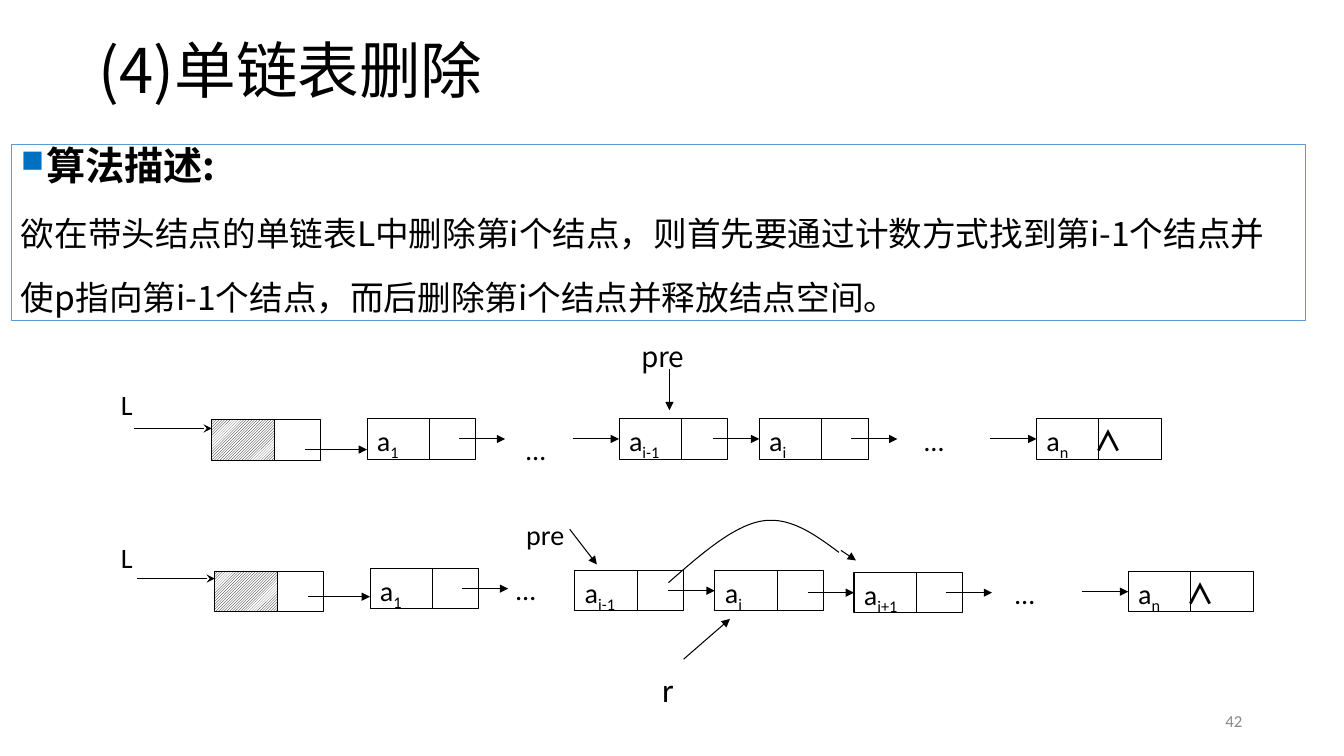
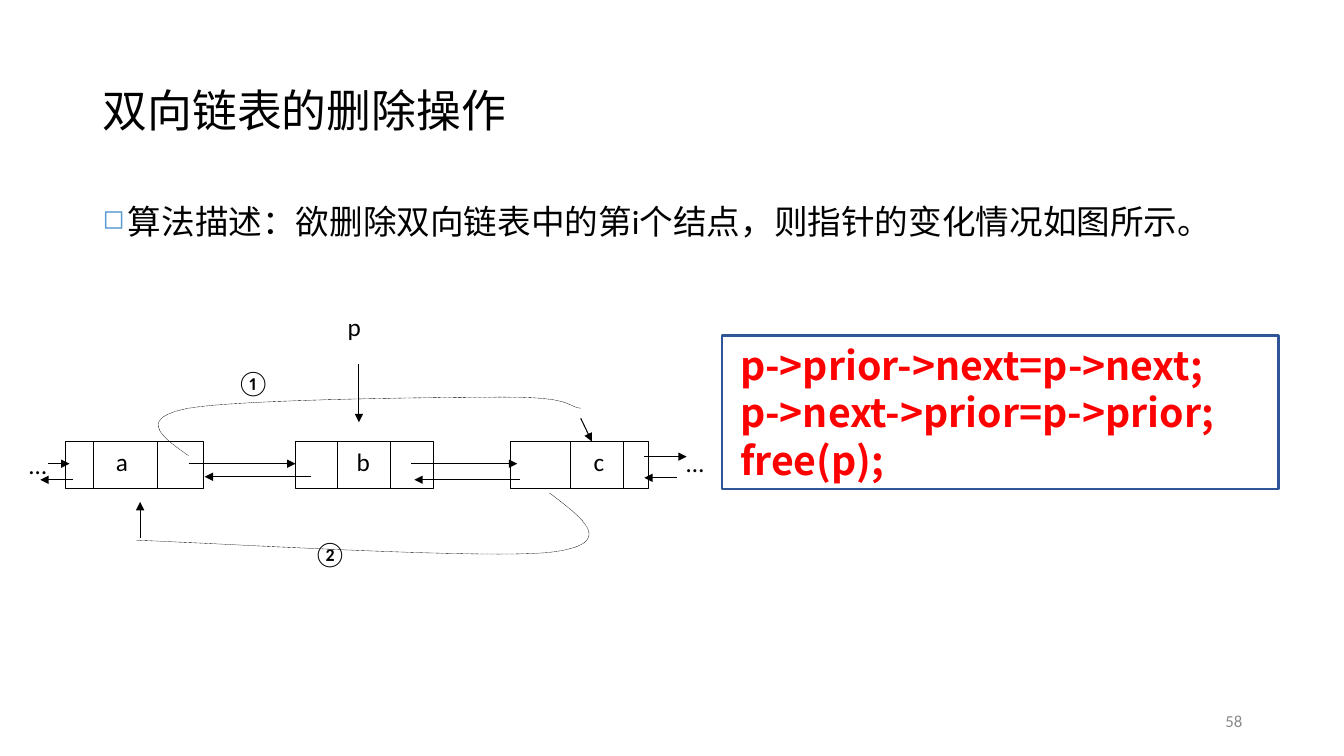
from lxml.etree import SubElement
from pptx import Presentation
from pptx.dml.color import RGBColor
from pptx.enum.dml import MSO_LINE, MSO_PATTERN
from pptx.enum.shapes import MSO_CONNECTOR, MSO_SHAPE
from pptx.enum.text import MSO_ANCHOR, PP_ALIGN
from pptx.oxml.ns import qn
from pptx.util import Inches, Pt

BLACK = RGBColor(0x00, 0x00, 0x00)
WHITE = RGBColor(0xFF, 0xFF, 0xFF)
GRAY = RGBColor(0x89, 0x89, 0x89)
RED = RGBColor(0xFF, 0x00, 0x00)
NAVY = RGBColor(0x2F, 0x55, 0x97)
SKY = RGBColor(0x5B, 0x9B, 0xD5)
BLUE = RGBColor(0x00, 0x70, 0xC0)
LATIN, CJK = "Calibri", "Noto Sans CJK SC"

BODY = {"name": CJK, "size": Pt(24), "color": BLACK}
HEADING = {"name": CJK, "size": Pt(28), "color": BLACK, "bold": True}
CODE = {**HEADING, "color": RED}
NODE = {"name": LATIN, "size": Pt(20), "color": BLACK}
SMALL = {**NODE, "size": Pt(18)}
NUMBER = {"name": LATIN, "size": Pt(12), "color": GRAY}
SUB = {"baseline": -25000}

SINGLE_TITLE = ("(4)单链表删除", 0.88, 0, 44, "42")
SINGLE_HEADING = "算法描述:"
SINGLE_TEXT = ("欲在带头结点的单链表L中删除第i个结点，则首先要通过计数方式找到第i-1个结点"
               "并使p指向第i-1个结点，而后删除第i个结点并释放结点空间。")
DOUBLE_TITLE = ("双向链表的删除操作", 0.92, 0.4, 32, "58")
DOUBLE_TEXT = [("算法描述：欲删除双向链表中的第", {}), ("i", {"name": LATIN}),
               ("个结点，则指针的变化情况如图所示。", {})]
CODE_LINES = ["p->prior->next=p->next;", "p->next->prior=p->prior;", "free(p);"]

CELL, NODE_W, LAST_W, LINK = 0.62, 1.08, 1.24, 0.46
# subscript, left, top, incoming link, outgoing link
CHAINS = [
    {"header": (2.1, 4.16), "height": 0.41, "nodes": [
        ("1", 3.64, 4.15, False, True), ("i-1", 6.14, 4.15, True, False),
        ("i", 7.53, 4.15, True, True), ("n", 10.28, 4.15, True, False)]},
    {"header": (2.13, 5.67), "height": 0.4, "nodes": [
        ("1", 3.67, 5.64, False, True), ("i-1", 5.7, 5.66, False, False),
        ("i", 7.09, 5.66, True, False), ("i+1", 8.47, 5.68, True, True),
        ("n", 11.19, 5.67, True, False)]},
]
SINGLE_LABELS = [
    ("pre", 6.26, 3.32, {**NODE, "name": CJK}), ("L", 1.1, 3.79, NODE),
    ("…", 5.12, 4.24, NODE), ("…", 9.07, 4.15, NODE),
    ("pre", 5.12, 5.08, NODE), ("L", 1.1, 5.31, NODE),
    ("…", 5.02, 5.63, NODE), ("…", 9.97, 5.67, NODE),
    ("r", 6.47, 6.59, {**NODE, "size": Pt(24)}),
]
SINGLE_ARROWS = [
    (6.64, 3.66, 6.64, 4.07), (3.03, 4.46, 3.64, 4.46), (3.05, 5.92, 3.67, 5.92),
    (5.65, 5.25, 5.92, 5.6), (8.34, 5.46, 8.49, 5.56), (6.78, 6.54, 7.24, 6.14),
]
LIST_ARROWS = [(1.33, 4.25, 2.1, 4.25), (1.36, 5.74, 2.13, 5.74)]
BYPASS = [(6.63, 5.78), (6.95, 5.5), (7.27, 5.22), (7.55, 5.17),
          (7.83, 5.12), (8.08, 5.3), (8.32, 5.48)]

DOUBLE_TOP, DOUBLE_W, DOUBLE_H = 4.38, 1.37, 0.47
# letter, left, dividers, text indent
DOUBLE_NODES = [("a", 0.65, (0.93, 1.56), 0.4), ("b", 2.93, (3.35, 3.87), 0.51),
                ("c", 5.06, (5.66, 6.18), 0.73)]
DOUBLE_LABELS = [("p", 3.35, 3.04, SMALL), ("②", 3.01, 5.29, SMALL),
                 ("①", 2.25, 3.59, SMALL), ("…", 0.19, 4.41, SMALL),
                 ("…", 6.71, 4.39, SMALL)]
DOUBLE_ARROWS = [
    (1.87, 4.6, 2.93, 4.6), (3.08, 4.73, 2.03, 4.73), (0.48, 4.6, 0.69, 4.6),
    (0.72, 4.76, 0.4, 4.76), (6.39, 4.53, 6.81, 4.53), (6.71, 4.74, 6.39, 4.74),
    (4.08, 4.6, 5.13, 4.6), (5.16, 4.76, 4.11, 4.76), (3.56, 3.61, 3.56, 4.19),
    (5.76, 4.15, 5.87, 4.38),
]
NEXT_CURVE = [(1.87, 4.52), (1.61, 4.34), (1.35, 4.15), (1.87, 4.05), (2.4, 3.96),
              (4.38, 3.94), (5.03, 3.94), (5.67, 3.94), (5.62, 4.03), (5.76, 4.05)]
PRIOR_CURVE = [(5.45, 4.89), (5.79, 5.15), (6.13, 5.4), (5.45, 5.48),
               (4.76, 5.55), (2.01, 5.38), (1.35, 5.36)]
DOTTED = {"width": Pt(0.25), "dash_style": MSO_LINE.ROUND_DOT}


def add_runs(paragraph, runs, base, **layout):
    for name, value in layout.items():
        setattr(paragraph, name, value)
    for text, changes in runs:
        run = paragraph.add_run()
        run.text = text
        props = run._r.get_or_add_rPr()
        for name, value in {**base, **changes}.items():
            if name == "color":
                run.font.color.rgb = value
            elif name == "baseline":
                props.set(name, str(value))
            else:
                setattr(run.font, name, value)
        SubElement(props, qn("a:ea"), typeface=run.font.name)


def set_bullet(paragraph, mark, color):
    props = paragraph._p.get_or_add_pPr()
    props.set("marL", str(Inches(0.25)))
    props.set("indent", str(-Inches(0.25)))
    SubElement(SubElement(props, qn("a:buClr")), qn("a:srgbClr"), val=str(color))
    SubElement(props, qn("a:buSzPct"), val="80000")
    SubElement(props, qn("a:buChar"), char=mark)


def set_frame(shape, **changes):
    frame = shape.text_frame
    settings = {"word_wrap": True, "vertical_anchor": MSO_ANCHOR.TOP, **changes}
    for name, value in settings.items():
        setattr(frame, name, value)
    frame.paragraphs[0].alignment = PP_ALIGN.LEFT
    return frame


def add_text(slide, box, runs, base, anchor=MSO_ANCHOR.TOP, **layout):
    area = slide.shapes.add_textbox(*map(Inches, box))
    frame = set_frame(area, vertical_anchor=anchor)
    add_runs(frame.paragraphs[0], runs, base, **layout)
    return frame.paragraphs[0]


def style_line(line, color=BLACK, **changes):
    line.color.rgb = color
    for name, value in {"width": Pt(0.75), **changes}.items():
        setattr(line, name, value)


def add_box(slide, box, fill=WHITE, **line):
    rect = slide.shapes.add_shape(MSO_SHAPE.RECTANGLE, *map(Inches, box))
    rect.shadow.inherit = False
    if fill is None:
        rect.fill.background()
    else:
        rect.fill.solid()
        rect.fill.fore_color.rgb = fill
    style_line(rect.line, **line)
    return rect


def add_line(slide, ends, head=None, target=None, **line):
    link = slide.shapes.add_connector(MSO_CONNECTOR.STRAIGHT, *map(Inches, ends))
    style_line(link.line, **line)
    props = link._element.spPr
    if head:
        SubElement(props.find(qn("a:ln")), qn("a:tailEnd"), type=head)
    SubElement(props, qn("a:effectLst"))
    if target is not None:
        link.end_connect(target, 1)


def add_curve(slide, points, steps=24, **line):
    dots = []
    for start in range(0, len(points) - 1, 3):
        part = points[start:start + 4]
        for step in range(1, steps + 1):
            t = step / steps
            weights = ((1 - t) ** 3, 3 * t * (1 - t) ** 2, 3 * t * t * (1 - t), t ** 3)
            dots.append(tuple(Inches(sum(w * p[axis] for w, p in zip(weights, part)))
                              for axis in (0, 1)))
    builder = slide.shapes.build_freeform(*map(Inches, points[0]))
    builder.add_line_segments(dots, close=False)
    curve = builder.convert_to_shape()
    curve.shadow.inherit = False
    curve.fill.background()
    style_line(curve.line, **line)


def add_page(deck, title, left, top, size, number):
    slide = deck.slides.add_slide(deck.slide_layouts[6])
    add_text(slide, (9.42, 6.95, 3, 0.4), [(number, {})], NUMBER,
             MSO_ANCHOR.MIDDLE, alignment=PP_ALIGN.RIGHT)
    add_text(slide, (left, top, 11.5, 1.45), [(title, {})], {**BODY, "size": Pt(size)},
             MSO_ANCHOR.MIDDLE, line_spacing=0.9)
    return slide


def add_labels(slide, labels):
    for text, left, top, style in labels:
        add_text(slide, (left, top, 0.8, 0.45), [(text, {})], style)


def add_chain(slide, header, height, nodes):
    left, top = header
    data = add_box(slide, (left, top, CELL, height))
    data.fill.patterned()
    data.fill.pattern = MSO_PATTERN.LIGHT_UPWARD_DIAGONAL
    data.fill.fore_color.rgb = BLACK
    data.fill.back_color.rgb = WHITE
    add_box(slide, (left + CELL, top, NODE_W - CELL, height))
    for sub, left, top, incoming, outgoing in nodes:
        last = sub == "n"
        node = add_box(slide, (left, top, LAST_W if last else NODE_W, height))
        paragraph = set_frame(node).paragraphs[0]
        runs = [("a", {}), (sub, SUB)]
        if last:
            runs.append(("\t∧", {"name": CJK, "bold": True}))
            tabs = SubElement(paragraph._p.get_or_add_pPr(), qn("a:tabLst"))
            SubElement(tabs, qn("a:tab"), pos=str(Inches(0.48)), algn="l")
        add_runs(paragraph, runs, NODE)
        add_line(slide, (left + CELL, top, left + CELL, top + height))
        middle = top + height / 2
        if incoming:
            add_line(slide, (left - LINK, middle, left, middle), "triangle", node)
        if outgoing:
            start = left + 0.91
            add_line(slide, (start, middle, start + LINK, middle), "triangle")


def build_single(deck):
    slide = add_page(deck, *SINGLE_TITLE)
    panel = add_box(slide, (0.11, 1.43, 12.84, 1.75), None, color=SKY)
    frame = set_frame(panel, margin_top=Inches(0.11))
    heading = frame.paragraphs[0]
    add_runs(heading, [(SINGLE_HEADING, {})], HEADING, line_spacing=Pt(24))
    set_bullet(heading, "■", BLUE)
    add_runs(frame.add_paragraph(), [(SINGLE_TEXT, {})], BODY,
             line_spacing=Pt(46), alignment=PP_ALIGN.LEFT)
    add_labels(slide, SINGLE_LABELS)
    for chain in CHAINS:
        add_chain(slide, **chain)
    add_curve(slide, BYPASS)
    for ends in SINGLE_ARROWS:
        add_line(slide, ends, "triangle")
    for ends in LIST_ARROWS:
        add_line(slide, ends, "stealth")


def build_double(deck):
    slide = add_page(deck, *DOUBLE_TITLE)
    summary = add_text(slide, (0.92, 2, 11.5, 4.76), DOUBLE_TEXT, BODY, line_spacing=Pt(25))
    set_bullet(summary, "◻", SKY)
    for letter, left, dividers, indent in DOUBLE_NODES:
        node = add_box(slide, (left, DOUBLE_TOP, DOUBLE_W, DOUBLE_H))
        paragraph = set_frame(node).paragraphs[0]
        paragraph._p.get_or_add_pPr().set("marL", str(Inches(indent)))
        add_runs(paragraph, [(letter, {})], SMALL)
        for x in dividers:
            add_line(slide, (x, DOUBLE_TOP, x, DOUBLE_TOP + DOUBLE_H))
    for ends in DOUBLE_ARROWS:
        add_line(slide, ends, "triangle")
    for curve in (NEXT_CURVE, PRIOR_CURVE):
        add_curve(slide, curve, **DOTTED)
    add_line(slide, (1.39, 5.33, 1.39, 4.98), "triangle", **DOTTED)
    add_labels(slide, DOUBLE_LABELS)
    panel = add_box(slide, (7.16, 3.33, 5.52, 1.52), None, color=NAVY, width=Pt(1.75))
    frame = set_frame(panel, margin_left=Inches(0.18))
    for index, code in enumerate(CODE_LINES):
        paragraph = frame.add_paragraph() if index else frame.paragraphs[0]
        add_runs(paragraph, [(code, {})], CODE, line_spacing=Pt(34), alignment=PP_ALIGN.LEFT)


def main():
    """Build the two linked-list deletion slides."""
    deck = Presentation()
    deck.slide_width, deck.slide_height = Inches(13.33), Inches(7.5)
    build_single(deck)
    build_double(deck)
    deck.save("out.pptx")


if __name__ == "__main__":
    main()
